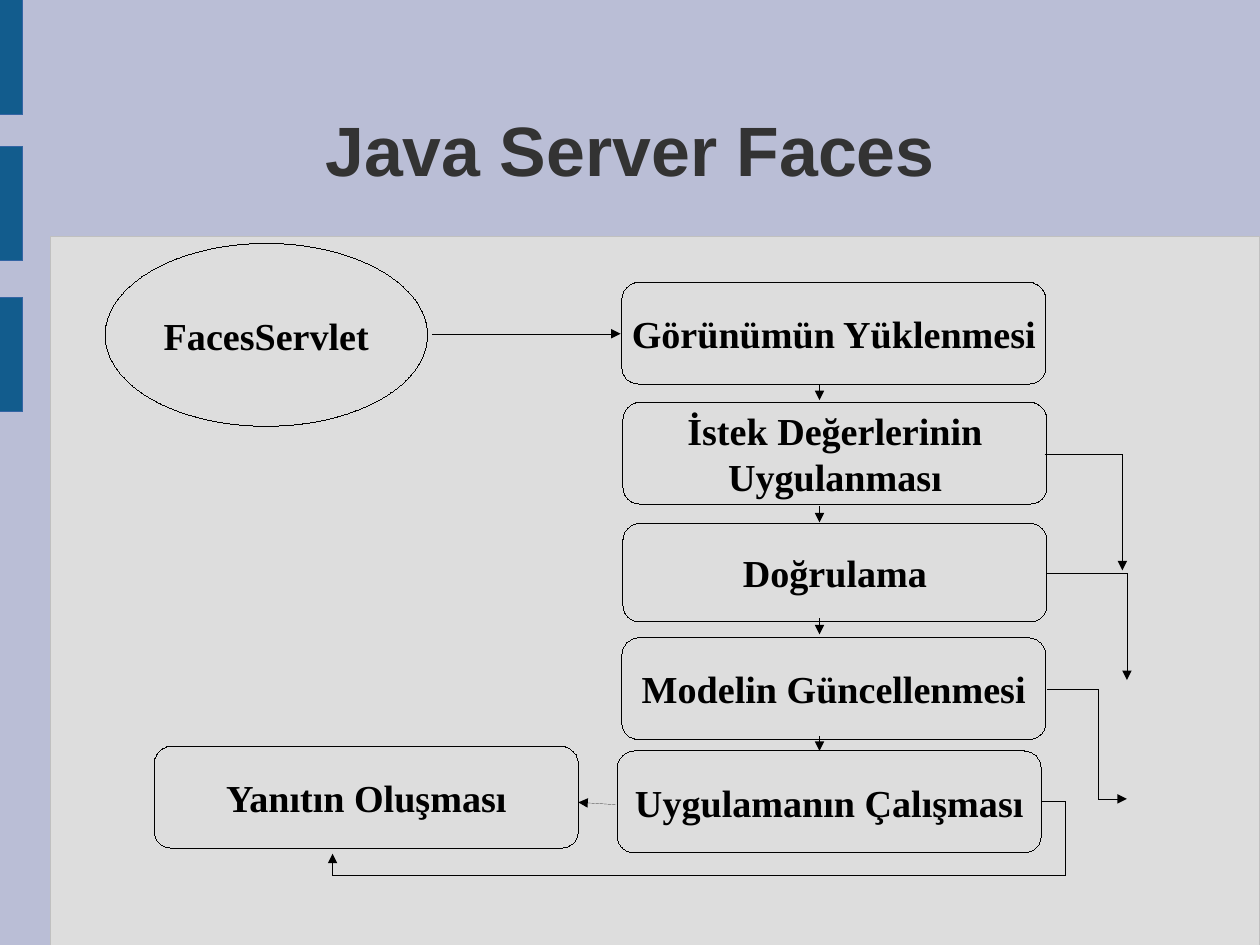
from lxml import etree
from pptx import Presentation
from pptx.dml.color import RGBColor
from pptx.enum.shapes import MSO_CONNECTOR, MSO_SHAPE
from pptx.enum.text import MSO_ANCHOR, PP_ALIGN
from pptx.oxml.ns import qn
from pptx.util import Inches, Pt

RECT, ROUND, OVAL = MSO_SHAPE.RECTANGLE, MSO_SHAPE.ROUNDED_RECTANGLE, MSO_SHAPE.OVAL
STRAIGHT, ELBOW = MSO_CONNECTOR.STRAIGHT, MSO_CONNECTOR.ELBOW
MIDDLE, CENTER = MSO_ANCHOR.MIDDLE, PP_ALIGN.CENTER

THEME = {
    "back": "BABED6", "panel": "DDDDDD", "edge": "C0C0C0",
    "bar": "125C8D", "rim": "3465A4", "title": "333333", "ink": "000000",
    "head": ("Arial", 44), "label": ("Times New Roman", 24), "hair": 0.01,
}


def add_box(kind, place, fill, line, text=""):
    box = slide.shapes.add_shape(kind, *map(Inches, place))
    box.shadow.inherit = False
    if fill:
        box.fill.solid()
        box.fill.fore_color.rgb = RGBColor.from_string(THEME[fill])
    else:
        box.fill.background()
    box.line.color.rgb = RGBColor.from_string(THEME[line])
    box.line.width = Pt(THEME["hair"])
    if text:
        set_text(box.text_frame, text, "label", "ink")


def set_text(frame, text, style, color):
    frame.text = text
    frame.word_wrap = True
    frame.vertical_anchor = MIDDLE
    frame.margin_left = frame.margin_right = frame.margin_top = frame.margin_bottom = 0
    for para in frame.paragraphs:
        para.alignment = CENTER
        font = para.font
        font.name, font.size, font.bold = THEME[style][0], Pt(THEME[style][1]), True
        font.color.rgb = RGBColor.from_string(THEME[color])


# Slide of 28 by 21 cm
deck = Presentation()
deck.slide_width, deck.slide_height = Inches(28 / 2.54), Inches(21 / 2.54)
slide = deck.slides.add_slide(deck.slide_layouts[5])
slide.background.fill.solid()
slide.background.fill.fore_color.rgb = RGBColor.from_string(THEME["back"])

# Panel and side bars
add_box(RECT, (0.44, 2.07, 10.58, 6.2), "panel", "edge")
for top in (0, 1.28, 2.6):
    add_box(RECT, (0, top, 0.2, 1), "bar", "rim")

# Title
title = slide.shapes.title
title.left, title.top, title.width, title.height = map(Inches, (0.81, 0.61, 9.41, 1.38))
set_text(title.text_frame, "Java Server Faces", "head", "title")

# Servlet and life cycle steps
add_box(OVAL, (0.92, 2.13, 2.82, 1.6), None, "ink", "FacesServlet")
steps = [
    (5.44, 2.47, 0.89, "Görünümün Yüklenmesi"),
    (5.45, 3.52, 0.89, "İstek Değerlerinin\nUygulanması"),
    (5.45, 4.58, 0.86, "Doğrulama"),
    (5.44, 5.58, 0.89, "Modelin Güncellenmesi"),
    (5.4, 6.57, 0.89, "Uygulamanın Çalışması"),
    (1.35, 6.53, 0.89, "Yanıtın Oluşması"),
]
for left, top, high, text in steps:
    add_box(ROUND, (left, top, 3.71, high), None, "ink", text)

# Arrows: start, end, preset for bent ones, bend positions in 1/100000
arrows = [
    ((3.78, 2.92), (5.43, 2.92), None, ()),
    ((5.39, 7.04), (5.06, 7.02), None, ()),
    ((9.12, 7.01), (2.91, 7.47), "bentConnector4", (-3200, 140000)),
    ((9.16, 6.03), (9.86, 6.99), "bentConnector3", (64100,)),
    ((9.16, 5.01), (9.86, 5.95), "bentConnector2", ()),
    ((9.14, 3.97), (9.82, 4.99), "bentConnector2", ()),
]
for top, end in ((3.37, 3.5), (4.43, 4.57), (5.41, 5.55), (6.44, 6.57)):
    arrows.append(((7.17, top), (7.17, end), None, ()))

for start, end, bent, bends in arrows:
    link = slide.shapes.add_connector(
        ELBOW if bent else STRAIGHT, *map(Inches, start + end))
    link.line.color.rgb = RGBColor.from_string(THEME["ink"])
    link.line.width = Pt(THEME["hair"])
    props = link._element.spPr
    etree.SubElement(props.find(qn("a:ln")), qn("a:tailEnd"), type="triangle")
    etree.SubElement(props, qn("a:effectLst"))
    if bent:
        shape = props.find(qn("a:prstGeom"))
        shape.set("prst", bent)
        guides = shape.find(qn("a:avLst"))
        for num, bend in enumerate(bends, 1):
            etree.SubElement(guides, qn("a:gd"), name=f"adj{num}", fmla=f"val {bend}")

deck.save("out.pptx")
